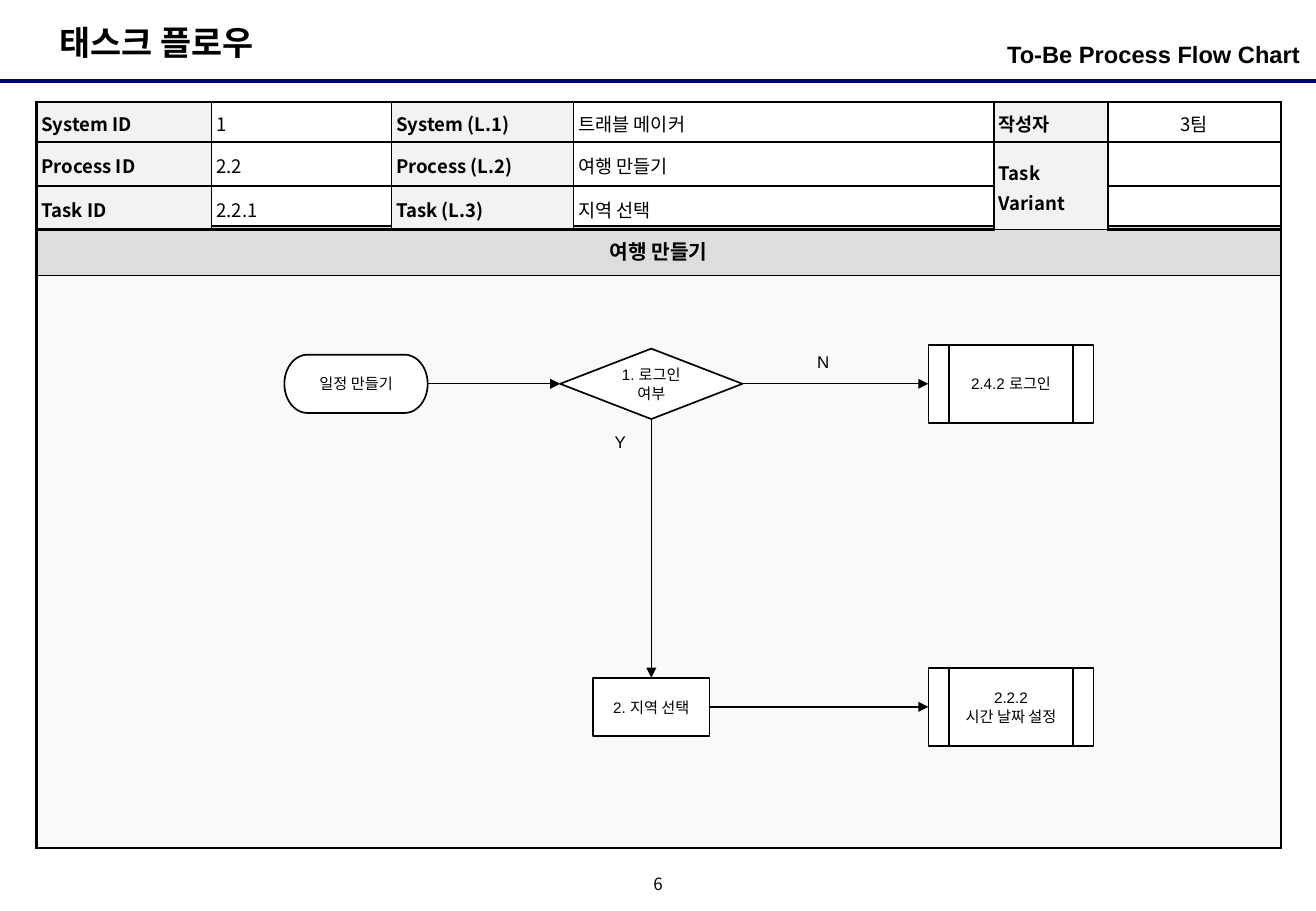
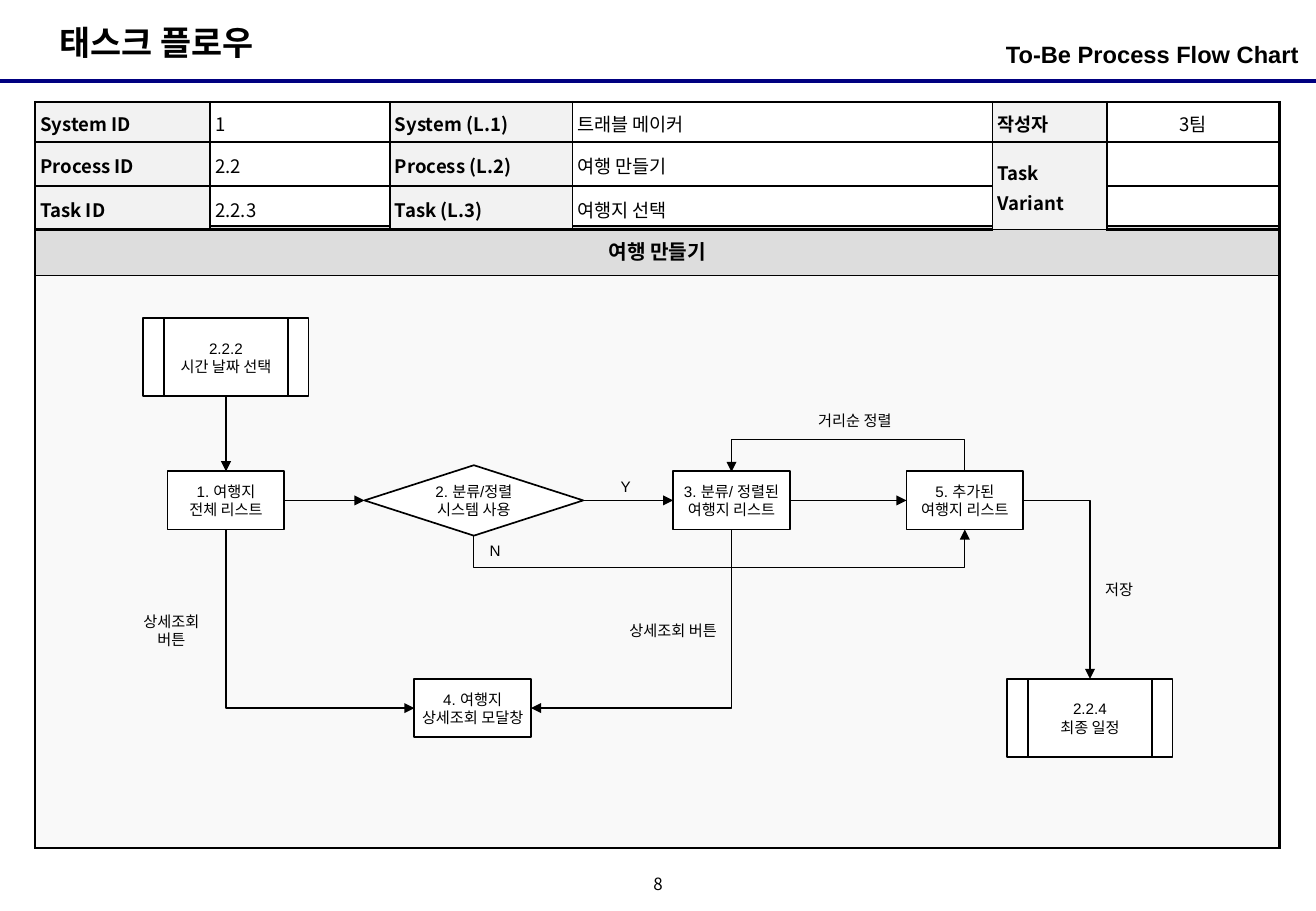
from lxml.etree import SubElement
from pptx import Presentation
from pptx.dml.color import RGBColor
from pptx.enum.shapes import MSO_CONNECTOR, MSO_SHAPE
from pptx.enum.text import MSO_ANCHOR, PP_ALIGN
from pptx.oxml.ns import qn
from pptx.util import Emu, Pt

PX = 9144  # 100 px to the inch
BLACK, WHITE, NAVY = "000000", "FFFFFF", "000080"
LABEL, HEAD, BODY = "F2F2F2", "DDDDDD", "F9F9F9"
ARIAL, NOTO = "Arial", "Noto Sans CJK KR"
LEFT, MID, RIGHT = PP_ALIGN.LEFT, PP_ALIGN.CENTER, PP_ALIGN.RIGHT
T, L, B, R = range(4)  # sides of a shape

KINDS = {
    "end": (MSO_SHAPE.FLOWCHART_TERMINATOR, 118, 48),
    "test": (MSO_SHAPE.DIAMOND, 150, 58),
    "wide": (MSO_SHAPE.DIAMOND, 180, 58),
    "step": (MSO_SHAPE.RECTANGLE, 96, 48),
    "task": (MSO_SHAPE.FLOWCHART_PREDEFINED_PROCESS, 136, 64),
}
COLS, ROWS = [144, 148, 150, 346, 94, 142], [33, 36, 36]

# nodes: key, kind, centre x, centre y, text
# arrows: from, side, to, side, and the level of the crossbar of a loop
# labels: left, top, width, height, size, text
PAGES = [
    {
        "number": "6", "left": 30, "id": "2.2.1", "task": "지역 선택",
        "nodes": [
            ("start", "end", 293, 316, "일정 만들기"),
            ("check", "test", 536, 316, "1. 로그인 여부"),
            ("login", "task", 832, 316, "2.4.2 로그인"),
            ("area", "step", 536, 582, "2. 지역 선택"),
            ("date", "task", 832, 582, "2.2.2\n시간 날짜 설정"),
        ],
        "arrows": [
            ("start", R, "check", L), ("check", R, "login", L),
            ("check", B, "area", T), ("area", R, "date", L),
        ],
        "labels": [(662, 284, 31, 27, 10, "N"), (496, 350, 28, 27, 10, "Y")],
    },
    {
        "number": "8", "left": 29, "id": "2.2.3", "task": "여행지 선택",
        "nodes": [
            ("date", "task", 186, 294, "2.2.2\n시간 날짜 선택"),
            ("all", "step", 186, 412, "1. 여행지\n전체 리스트"),
            ("sort", "wide", 390, 412, "2. 분류/정렬 시스템 사용"),
            ("sorted", "step", 602, 412, "3. 분류/ 정렬된\n여행지 리스트"),
            ("added", "step", 794, 412, "5. 추가된\n여행지 리스트"),
            ("detail", "step", 389, 583, "4. 여행지 상세조회 모달창"),
            ("final", "task", 897, 591, "2.2.4\n최종 일정"),
        ],
        "arrows": [
            ("date", B, "all", T), ("all", R, "sort", L),
            ("sort", R, "sorted", L), ("sorted", R, "added", L),
            ("sort", B, "added", B, 467), ("added", T, "sorted", T, 362),
            ("added", R, "final", T), ("all", B, "detail", L),
            ("sorted", B, "detail", R),
        ],
        "labels": [
            (501, 388, 24, 25, 9, "Y"), (389, 441, 37, 25, 9, "N"),
            (628, 334, 151, 25, 9, "거리순 정렬"),
            (897, 473, 48, 25, 9, "저장"),
            (96, 499, 90, 40, 9, "상세조회 버튼"),
            (506, 499, 96, 40, 9, "상세조회 버튼"),
        ],
    },
]


def rgb(code):
    return RGBColor.from_string(code)


def px(*sizes):
    return [Emu(round(size * PX)) for size in sizes]


def write(frame, text, size, bold=False, align=MID, face=ARIAL, space=None):
    frame.text = text
    for para in frame.paragraphs:
        para.alignment, para.line_spacing = align, space
        font = para.font
        font.size, font.bold, font.name = Pt(size), bold, face
        font.color.rgb = rgb(BLACK)
        SubElement(font._element, qn("a:ea"), typeface=NOTO)
        if not text:
            SubElement(para._p, qn("a:endParaRPr"), sz=str(size * 100))


def pad(item, side, end):
    """Set the inner margins of a text frame or a cell."""
    item.margin_left, item.margin_right = px(side, side)
    item.margin_top, item.margin_bottom = px(end, end)


def add_text(slide, box, text, size, side=10, end=5, anchor=MSO_ANCHOR.TOP, **style):
    frame = slide.shapes.add_textbox(*px(*box)).text_frame
    frame.word_wrap, frame.vertical_anchor = True, anchor
    pad(frame, side, end)
    write(frame, text, size, **style)


def add_line(slide, kind, ends, color, width):
    line = slide.shapes.add_connector(kind, *px(*ends))
    line.line.color.rgb, line.line.width = rgb(color), Pt(width)
    SubElement(line._element.spPr, qn("a:effectLst"))
    return line


def add_grid(slide, left, top, cols, rows, inner):
    """Add a table with a 1.5 pt frame and inner rules, and return it."""
    shape = slide.shapes.add_table(
        len(rows), len(cols), *px(left, top, sum(cols), sum(rows)))
    table = shape.table
    table.first_row = table.horz_banding = False
    for col, width in zip(table.columns, px(*cols)):
        col.width = width
    for row, height in zip(table.rows, px(*rows)):
        row.height = height
    for r in range(len(rows)):
        for c in range(len(cols)):
            cell = table.cell(r, c)
            cell.vertical_anchor = MSO_ANCHOR.MIDDLE
            outer = {"L": c == 0, "R": c == len(cols) - 1,
                     "T": r == 0, "B": r == len(rows) - 1}
            for edge, rim in outer.items():
                rule = SubElement(cell._tc.get_or_add_tcPr(), qn("a:ln" + edge),
                                  w=str(Pt(1.5 if rim else inner)))
                paint = SubElement(rule, qn("a:solidFill"))
                SubElement(paint, qn("a:srgbClr"), val=BLACK)
    return table


def add_frame(slide, page):
    """Draw the title, rule, tables and page number of every page."""
    left = page["left"]
    add_line(slide, MSO_CONNECTOR.STRAIGHT, (0, 67, 1083, 67), NAVY, 2.25)
    add_text(slide, (39, 13, 198, 44), "태스크 플로우", 20, bold=True, align=LEFT)
    add_text(slide, (left + 709, 28, 331, 39), "To-Be Process Flow Chart", 14,
             side=0, bold=True, align=RIGHT)
    add_text(slide, (525, 717, 33, 25), page["number"], 10, side=0, end=0,
             anchor=MSO_ANCHOR.MIDDLE, face=NOTO, space=0.8)

    body = add_grid(slide, left, 186, [sum(COLS)], [41, 471], 0.75)
    for r, color in enumerate((HEAD, BODY)):
        cell = body.cell(r, 0)
        cell.fill.solid()
        cell.fill.fore_color.rgb = rgb(color)
    write(body.cell(0, 0).text_frame, "여행 만들기", 12, bold=True)

    facts = [
        ("System ID", "1", "System (L.1)", "트래블 메이커", "작성자", "3팀"),
        ("Process ID", "2.2", "Process (L.2)", "여행 만들기", "Task Variant", ""),
        ("Task ID", page["id"], "Task (L.3)", page["task"], "", ""),
    ]
    meta = add_grid(slide, left, 84, COLS, ROWS, 1)
    for r, row in enumerate(facts):
        for c, text in enumerate(row):
            cell, label = meta.cell(r, c), c % 2 == 0
            pad(cell, 4, 4)
            write(cell.text_frame, text, 11, bold=label, face=NOTO, space=1.1,
                  align=MID if c == 5 else LEFT)
            if label:
                cell.fill.solid()
                cell.fill.fore_color.rgb = rgb(LABEL)
            else:
                cell.fill.background()
    meta.cell(1, 4).merge(meta.cell(2, 4))


def add_node(slide, kind, x, y, text):
    form, w, h = KINDS[kind]
    node = slide.shapes.add_shape(form, *px(x - w / 2, y - h / 2, w, h))
    node.shadow.inherit = False
    node.fill.solid()
    node.fill.fore_color.rgb = rgb(WHITE)
    node.line.color.rgb, node.line.width = rgb(BLACK), Pt(1)
    frame = node.text_frame
    frame.word_wrap, frame.vertical_anchor = True, MSO_ANCHOR.MIDDLE
    pad(frame, 2, 0)
    write(frame, text, 9)
    return node


def port(node, side):
    """Return the middle of a side in px."""
    across, down = [(0.5, 0), (0, 0.5), (0.5, 1), (1, 0.5)][side]
    return (round((node.left + node.width * across) / PX),
            round((node.top + node.height * down) / PX))


def bend(line, start, end, upright, bar):
    """Turn an elbow so that it leaves upright or level, with an optional crossbar."""
    (x0, y0), (x1, y1) = start, end
    dx, dy = x1 - x0, y1 - y0
    run, rise = (dy, dx) if upright else (dx, dy)
    turn = (90 if dy >= 0 else 270) if upright else 0
    flip = (dx > 0) == (dy >= 0) if upright else dy < 0
    w, h = max(abs(run), 1), abs(rise)
    line.left, line.top, line.width, line.height = px(
        (x0 + x1 - w) / 2, (y0 + y1 - h) / 2, w, h)
    place = line._element.spPr.find(qn("a:xfrm"))
    for name, value in (("rot", turn * 60000), ("flipH", 0), ("flipV", int(flip))):
        place.set(name, str(value))
    shape = line._element.spPr.find(qn("a:prstGeom"))
    if bar is None:
        shape.set("prst", "bentConnector2")
    else:
        ratio = (bar - y0) / (w if dy >= 0 else -w)
        SubElement(shape.find(qn("a:avLst")), qn("a:gd"), name="adj1",
                   fmla=f"val {round(ratio * 100000)}")


def add_arrow(slide, nodes, tail, out, head, into, bar=None):
    start, end = port(nodes[tail], out), port(nodes[head], into)
    straight = start[0] == end[0] or (start[1] == end[1] and bar is None)
    kind = MSO_CONNECTOR.STRAIGHT if straight else MSO_CONNECTOR.ELBOW
    line = add_line(slide, kind, start + end, BLACK, 0.75)
    SubElement(line.line._get_or_add_ln(), qn("a:tailEnd"), type="triangle")
    line.begin_connect(nodes[tail], out)
    line.end_connect(nodes[head], into)
    if not straight:
        bend(line, start, end, out in (T, B), bar)


def main():
    deck = Presentation()
    deck.slide_width, deck.slide_height = px(1083, 750)
    for page in PAGES:
        slide = deck.slides.add_slide(deck.slide_layouts[6])
        add_frame(slide, page)
        nodes = {key: add_node(slide, *rest) for key, *rest in page["nodes"]}
        for arrow in page["arrows"]:
            add_arrow(slide, nodes, *arrow)
        for *box, size, text in page["labels"]:
            add_text(slide, box, text, size, anchor=MSO_ANCHOR.MIDDLE)
    deck.save("out.pptx")


if __name__ == "__main__":
    main()
